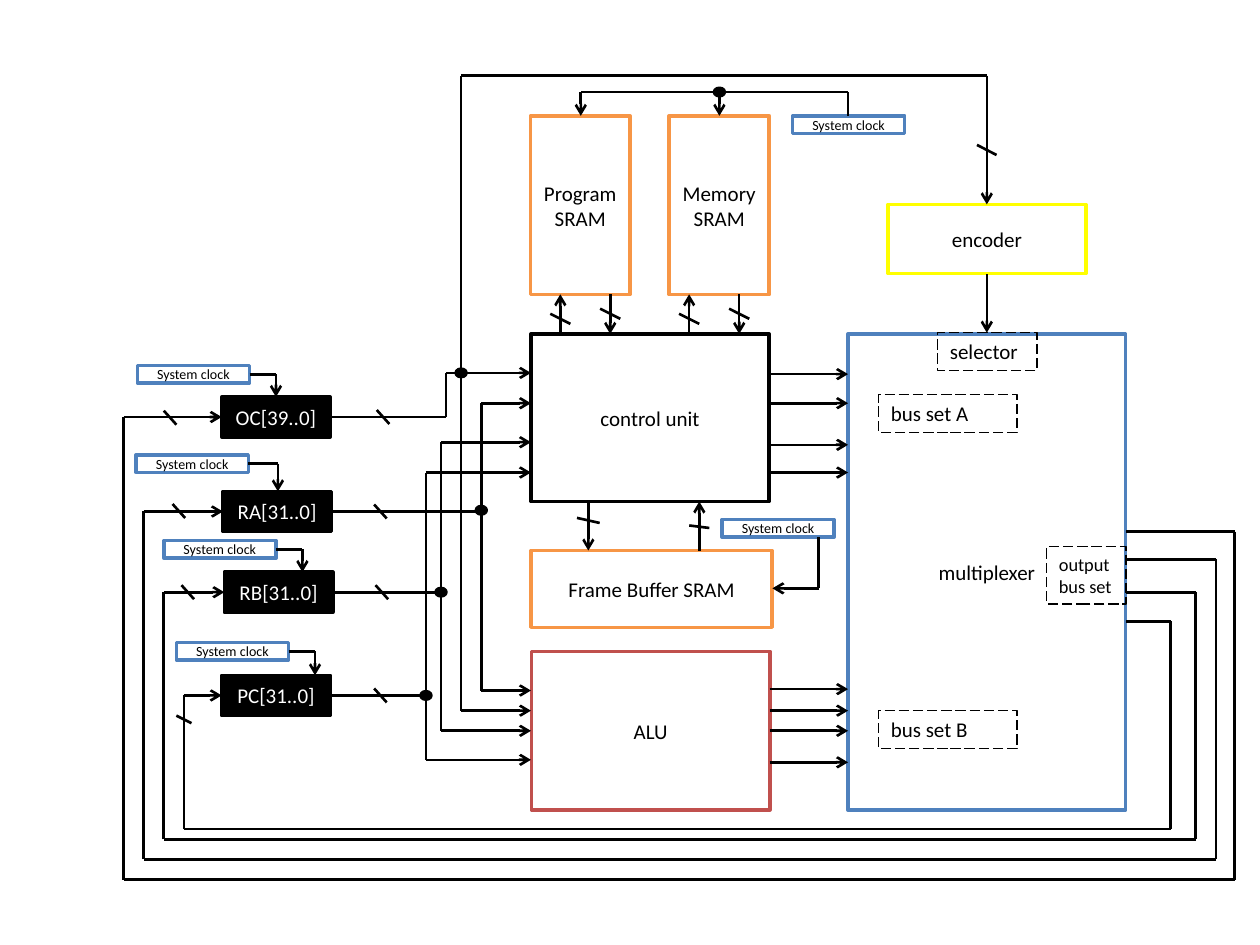
from pptx import Presentation
from pptx.dml.color import RGBColor
from pptx.enum.dml import MSO_LINE
from pptx.enum.shapes import MSO_CONNECTOR as CONN, MSO_SHAPE as SHAPE
from pptx.enum.text import MSO_ANCHOR as ANCHOR, MSO_AUTO_SIZE as AUTO, PP_ALIGN as ALIGN
from pptx.oxml.ns import qn
from pptx.util import Pt
from lxml import etree

BLACK = RGBColor(0x00, 0x00, 0x00)
WHITE = RGBColor(0xFF, 0xFF, 0xFF)
BLUE = RGBColor(0x4F, 0x81, 0xBD)
RED = RGBColor(0xC0, 0x50, 0x4D)
ORANGE = RGBColor(0xF7, 0x96, 0x46)
YELLOW = RGBColor(0xFF, 0xFF, 0x00)


class Diagram:
    font = "Calibri"
    wire_width = 1.5
    box_width = 2
    clock_size = (64.1, 10.1)

    def __init__(self, slide):
        self.shapes = slide.shapes

    def set_text(self, sp, text, size, color, align, anchor):
        tf = sp.text_frame
        for name, value in dict(word_wrap=True, vertical_anchor=anchor).items():
            setattr(tf, name, value)
        p = tf.paragraphs[0]
        p.alignment = align
        r = p.add_run()
        r.text = text
        for name, value in dict(name=self.font, size=Pt(size)).items():
            setattr(r.font, name, value)
        r.font.color.rgb = color

    def box(self, text, x, y, w, h, line, fill=WHITE, color=BLACK, size=12):
        sp = self.shapes.add_shape(SHAPE.RECTANGLE, Pt(x), Pt(y), Pt(w), Pt(h))
        sp.shadow.inherit = False
        sp.fill.solid()
        sp.fill.fore_color.rgb = fill
        sp.line.color.rgb = line
        sp.line.width = Pt(self.box_width)
        self.set_text(sp, text, size, color, ALIGN.CENTER, ANCHOR.MIDDLE)

    def clock(self, x, y):
        self.box("System clock", x, y, *self.clock_size, BLUE, size=8)

    def label(self, text, x, y, w, h, size=12):
        sp = self.shapes.add_textbox(Pt(x), Pt(y), Pt(w), Pt(h))
        self.set_text(sp, text, size, BLACK, ALIGN.LEFT, ANCHOR.TOP)
        sp.text_frame.auto_size = AUTO.SHAPE_TO_FIT_TEXT
        sp.line.color.rgb = BLACK
        sp.line.width = Pt(0.75)
        sp.line.dash_style = MSO_LINE.LONG_DASH

    def dot(self, x, y):
        w, h = 5.7, 4.3
        sp = self.shapes.add_shape(SHAPE.OVAL, Pt(x - w / 2), Pt(y - h / 2), Pt(w), Pt(h))
        sp.shadow.inherit = False
        sp.fill.solid()
        sp.fill.fore_color.rgb = BLACK
        sp.line.color.rgb = BLACK
        sp.line.width = Pt(self.box_width)

    def wire(self, *points, arrow=False):
        """Straight segments through the points; the arrow sits on the last."""
        for a, b in zip(points, points[1:]):
            c = self.shapes.add_connector(CONN.STRAIGHT, *map(Pt, a + b))
            c.line.color.rgb = BLACK
            c.line.width = Pt(self.wire_width)
            etree.SubElement(c._element.spPr, qn("a:effectLst"))
            if arrow and b == points[-1]:
                etree.SubElement(c.get_or_add_ln(), qn("a:tailEnd"), type="arrow")

    def slash(self, x, y, w=7.2, h=8):
        self.wire((x - w / 2, y - h / 2), (x + w / 2, y + h / 2))


prs = Presentation()
prs.slide_width, prs.slide_height = Pt(720), Pt(540)
d = Diagram(prs.slides.add_slide(prs.slide_layouts[6]))

# Main blocks
CTRL_L, CTRL_R, CTRL_TOP, CTRL_BOTTOM = 303.4, 439.8, 190.8, 286.6
MUX_L, MUX_R = 484.6, 643.5
FRAME_TOP, RAM_TOP, RAM_BOTTOM = 314.6, 66.2, 168.2
ENC_X, ENC_TOP, ENC_BOTTOM = 563.9, 116.8, 156.6
for block in (
    ("ALU", 303.8, 372.2, 136.1, 90.7, RED),
    ("multiplexer", MUX_L, CTRL_TOP, 158.6, 272.2, BLUE),
    ("control unit", CTRL_L, CTRL_TOP, 136.1, 95.8, BLACK),
    ("Program SRAM", 303.1, RAM_TOP, 56.9, 102.2, ORANGE),
    ("Memory SRAM", 382.4, RAM_TOP, 57.2, 102.2, ORANGE),
    ("Frame Buffer SRAM", 303.6, FRAME_TOP, 137.6, 43.9, ORANGE),
    ("encoder", 507.4, ENC_TOP, 113.2, 39.6, YELLOW),
):
    d.box(*block)

# Multiplexer ports
for port in (
    ("selector", 535.7, 190.1, 56.9, 21.8),
    ("bus set A", 502, 225.4, 79.2, 21.8),
    ("bus set B", 502, 406.1, 79.2, 21.8),
    ("output bus set", 598, 312.5, 45.5, 32.7, 10.5),
):
    d.label(*port)

# Memory buses to and from the control unit
for up, down in ((320.2, 348.7), (393.8, 422.4)):
    d.wire((up, CTRL_TOP), (up, RAM_BOTTOM), arrow=True)
    d.wire((down, RAM_BOTTOM), (down, CTRL_TOP), arrow=True)
    d.slash(up, 182.2, 11.5, 5.8)
    d.slash(down, 179.3, 11.5, 5.8)
d.wire((336.2, CTRL_BOTTOM), (336.2, FRAME_TOP), arrow=True)
d.slash(336.2, 297.4, 13, 2.9)
d.wire((399.6, FRAME_TOP), (399.6, CTRL_BOTTOM), arrow=True)
d.slash(399.6, 301, 11.5, 1.4)

# Registers: box, clock, drop x, node, tap heights, feedback loop, slashes
REG_W, REG_H = 62, 23
CLK_W, CLK_H = d.clock_size
registers = (
    dict(name="OC[39..0]", at=(126.7, 226.8), clk=(78.5, 208.8), drop=157.7,
         node=(263.5, 213.1), ctrl=213.1, alu=406.1, mux=(213.8, 406.1),
         loop=(303.8, 705.6, 502.6, 70.6), out=218.9, tick=(97.2, 238.7)),
    dict(name="RA[31..0]", at=(127.4, 280.8), clk=(77.8, 259.9), drop=158.8,
         node=(275, 291.6), ctrl=230.4, alu=394.6, mux=(230.4, 393.8),
         loop=(319.7, 694.8, 491, 82.1), out=217.4, tick=(102.2, 292)),
    dict(name="RB[31..0]", at=(128.2, 326.9), clk=(93.6, 308.9), drop=172.8,
         node=(252, 338.4), ctrl=252.7, alu=417.6, mux=(254.2, 417.6),
         loop=(338.4, 683.3, 479.7, 93.6), out=218.2, tick=(107.3, 338.4)),
    dict(name="PC[31..0]", at=(126.7, 385.9), clk=(100.8, 367.2), drop=180,
         node=(243.4, 397.4), ctrl=270, alu=434.2, mux=(270, 435.6),
         loop=(355, 668.9, 473.8, 105.1), out=217.4, tick=(105.1, 411.1, 8.6, 4.3)),
)
for reg in registers:
    x, y = reg["at"]
    mid = y + REG_H / 2
    d.box(reg["name"], x, y, REG_W, REG_H, BLACK, BLACK, WHITE)

    cx, cy = reg["clk"]
    clk_mid = cy + CLK_H / 2
    d.clock(cx, cy)
    d.wire((cx + CLK_W, clk_mid), (reg["drop"], clk_mid), (reg["drop"], y), arrow=True)

    # Output through the node to the control unit and the ALU
    nx, ny = reg["node"]
    start = (x + REG_W, mid)
    if abs(ny - mid) > REG_H / 2:
        step = 254.9
        d.wire(start, (step, mid), (step, ny), (nx, ny))
    else:
        d.wire(start, (nx, mid))
    d.dot(nx, ny)
    for level in (reg["ctrl"], reg["alu"]):
        d.wire(*([(nx, ny)] if level != ny else []), (nx, level), (CTRL_L, level), arrow=True)
    d.slash(reg["out"], mid)

    # Multiplexer inputs for bus sets A and B
    for level in reg["mux"]:
        d.wire((CTRL_R, level), (MUX_L, level), arrow=True)

    # Feedback from the output bus set
    out_y, right, bottom, left = reg["loop"]
    d.wire((MUX_R, out_y), (right, out_y), (right, bottom), (left, bottom),
           (left, mid), (x, mid), arrow=True)
    d.slash(*reg["tick"])

# Operation code to the encoder and selector
d.wire((263.5, 213.1), (263.5, 43.2), (ENC_X, 43.2), (ENC_X, ENC_TOP), arrow=True)
d.slash(ENC_X, 85.7, 11.2, 5.8)
d.wire((ENC_X, ENC_BOTTOM), (ENC_X, 190.1), arrow=True)

# Clock for the program and memory SRAM
CLK_BUS, MEM_X = 52.6, 411.1
d.clock(452.9, RAM_TOP)
d.wire((484.6, RAM_TOP), (484.6, CLK_BUS), (331.9, CLK_BUS), (331.9, RAM_TOP), arrow=True)
d.dot(MEM_X, CLK_BUS)
d.wire((MEM_X, CLK_BUS), (MEM_X, RAM_TOP), arrow=True)

# Clock for the frame buffer
d.clock(412.6, 296.9)
d.wire((467.8, 307), (467.8, 336.2), (441.4, 336.2), arrow=True)

prs.save("out.pptx")
